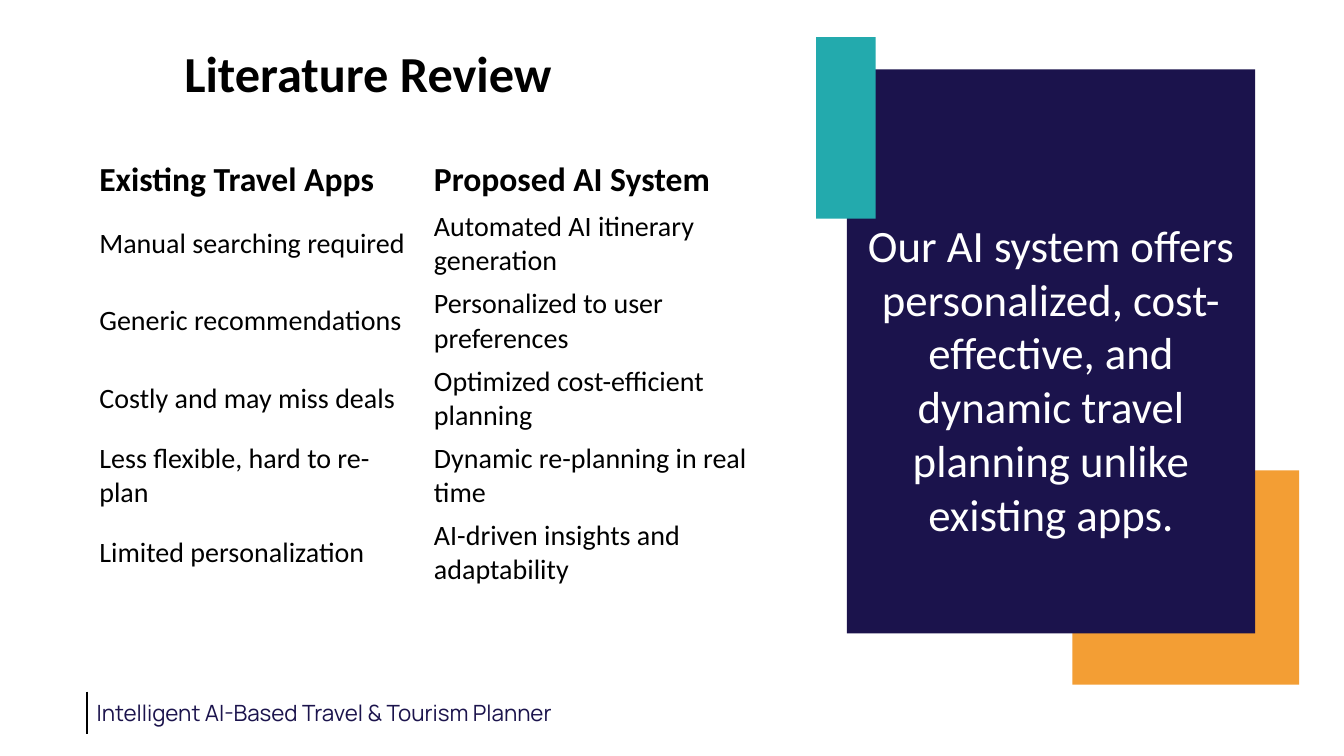
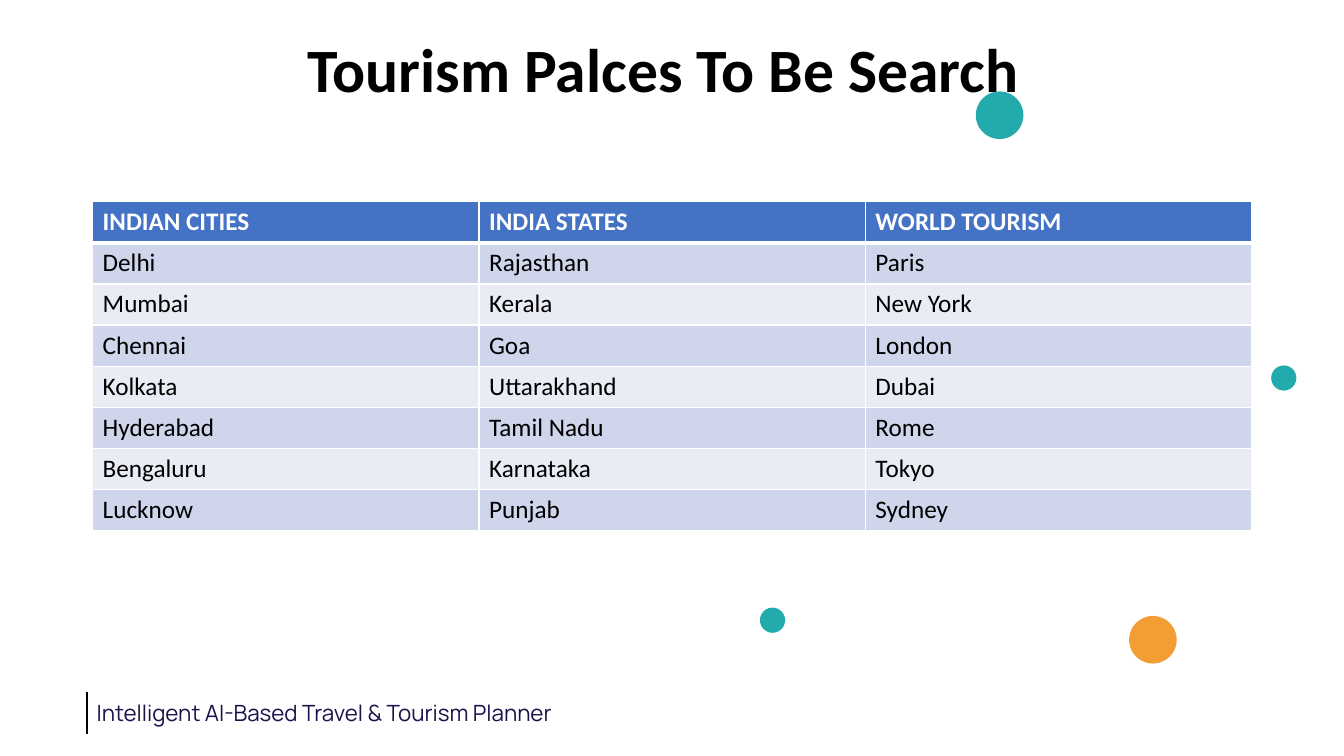
"""Build two slides of a travel planner presentation."""
from dataclasses import dataclass

from lxml import etree
from pptx import Presentation
from pptx.dml.color import RGBColor
from pptx.enum.shapes import MSO_CONNECTOR, MSO_SHAPE
from pptx.enum.text import MSO_ANCHOR, PP_ALIGN
from pptx.oxml.ns import qn
from pptx.presentation import Presentation as Deck
from pptx.shapes.autoshape import Shape
from pptx.slide import Slide
from pptx.table import Table, _Cell
from pptx.text.text import TextFrame
from pptx.util import Pt

RECTANGLE, CIRCLE = MSO_SHAPE.RECTANGLE, MSO_SHAPE.FLOWCHART_CONNECTOR
STRAIGHT = MSO_CONNECTOR.STRAIGHT
LEFT, CENTER = PP_ALIGN.LEFT, PP_ALIGN.CENTER
TOP, MIDDLE = MSO_ANCHOR.TOP, MSO_ANCHOR.MIDDLE

COLORS = {
    "navy": "1B134C",
    "teal": "23AAAD",
    "orange": "F39E34",
    "black": "000000",
    "white": "FFFFFF",
    "header": "4472C4",
    "odd_row": "CFD5EA",
    "even_row": "E9EBF5",
}
BODY_FONT, FOOTER_FONT = "Calibri", "Manrope"
FOOTER_TEXT = "Intelligent AI-Based Travel & Tourism Planner"
PANEL_TEXT = (
    "Our AI system offers personalized, cost-effective, "
    "and dynamic travel planning unlike existing apps."
)
COMPARISON = [
    ("Existing Travel Apps", "Proposed AI System"),
    ("Manual searching required", "Automated AI itinerary generation"),
    ("Generic recommendations", "Personalized to user preferences"),
    ("Costly and may miss deals", "Optimized cost-efficient planning"),
    ("Less flexible, hard to re-plan", "Dynamic re-planning in real time"),
    ("Limited personalization", "AI-driven insights and adaptability"),
]
PLACES = [
    ("INDIAN CITIES", "INDIA STATES", "WORLD TOURISM"),
    ("Delhi", "Rajasthan", "Paris"),
    ("Mumbai", "Kerala", "New York"),
    ("Chennai", "Goa", "London"),
    ("Kolkata", "Uttarakhand", "Dubai"),
    ("Hyderabad", "Tamil Nadu", "Rome"),
    ("Bengaluru", "Karnataka", "Tokyo"),
    ("Lucknow", "Punjab", "Sydney"),
]


@dataclass(frozen=True)
class Area:
    """Place and size of an object in points."""

    left: float
    top: float
    width: float
    height: float

    def lengths(self) -> tuple[Pt, Pt, Pt, Pt]:
        """Return the four lengths for python-pptx."""
        return Pt(self.left), Pt(self.top), Pt(self.width), Pt(self.height)


@dataclass(frozen=True)
class Block:
    """A plain filled shape."""

    area: Area
    color: str


ORANGE_BLOCK = Block(Area(766, 336, 162, 153), "orange")
NAVY_PANEL = Block(Area(605, 49.5, 291.5, 403), "navy")
TEAL_BLOCK = Block(Area(583, 26.6, 42.5, 129.6), "teal")
DOTS = [
    Block(Area(806.5, 440, 34, 34), "orange"),
    Block(Area(697, 65.3, 34, 34), "teal"),
    Block(Area(542.8, 434, 18, 18), "teal"),
    Block(Area(908, 261, 18, 18), "teal"),
]


def rgb(name: str) -> RGBColor:
    """Look up a named colour."""
    return RGBColor.from_string(COLORS[name])


def write_text(
    frame: TextFrame,
    text: str,
    *,
    size: float,
    color: str = "black",
    font: str = BODY_FONT,
    bold: bool = False,
    align: PP_ALIGN = LEFT,
    spacing: float = 1.0,
) -> None:
    """Put one formatted paragraph into a text frame."""
    para = frame.paragraphs[0]
    para.alignment = align
    para.line_spacing = spacing
    span = para.add_run()
    span.text = text
    span.font.size = Pt(size)
    span.font.name = font
    span.font.bold = bold
    span.font.color.rgb = rgb(color)


def add_text(
    page: Slide, area: Area, text: str, *, anchor: MSO_ANCHOR = TOP, **style
) -> None:
    """Add a wrapping text box."""
    frame = page.shapes.add_textbox(*area.lengths()).text_frame
    frame.word_wrap = True
    frame.vertical_anchor = anchor
    write_text(frame, text, **style)


def add_block(page: Slide, block: Block, kind: MSO_SHAPE) -> Shape:
    """Add a filled shape without outline or shadow."""
    shape = page.shapes.add_shape(kind, *block.area.lengths())
    shape.shadow.inherit = False
    shape.fill.solid()
    shape.fill.fore_color.rgb = rgb(block.color)
    shape.line.fill.background()
    return shape


def add_footer(page: Slide) -> None:
    """Add the footer text with its upright rule."""
    add_text(page, Area(62, 496, 380, 46), FOOTER_TEXT,
             size=16, color="navy", font=FOOTER_FONT)
    rule = page.shapes.add_connector(STRAIGHT, Pt(62), Pt(494), Pt(62), Pt(524))
    rule.line.color.rgb = rgb("black")
    rule.line.width = Pt(1.5)
    etree.SubElement(rule.element.spPr, qn("a:effectLst"))


def add_page(deck: Deck) -> Slide:
    """Add a blank slide with the shared footer."""
    page = deck.slides.add_slide(deck.slide_layouts[6])
    add_footer(page)
    return page


def add_grid(
    page: Slide, area: Area, rows: list, widths: list[float], heights: list[float]
) -> Table:
    """Add an unstyled table with the given column widths and row heights."""
    table = page.shapes.add_table(len(rows), len(widths), *area.lengths()).table
    table.first_row = table.horz_banding = False
    for column, width in zip(table.columns, widths):
        column.width = Pt(width)
    for row, height in zip(table.rows, heights):
        row.height = Pt(height)
    return table


def set_borders(cell: _Cell, *, top: float, bottom: float) -> None:
    """Draw white borders around a cell."""
    properties = cell._tc.get_or_add_tcPr()
    for side, width in (("L", 1), ("R", 1), ("T", top), ("B", bottom)):
        line = etree.SubElement(properties, qn(f"a:ln{side}"), w=str(Pt(width)))
        fill = etree.SubElement(line, qn("a:solidFill"))
        etree.SubElement(fill, qn("a:srgbClr"), val=COLORS["white"])


def build_review(deck: Deck) -> None:
    """Build the comparison slide."""
    page = add_page(deck)
    add_block(page, ORANGE_BLOCK, RECTANGLE)
    frame = add_block(page, NAVY_PANEL, RECTANGLE).text_frame
    frame.word_wrap = True
    frame.vertical_anchor = MIDDLE
    frame.margin_top = Pt(42.6)
    write_text(frame, PANEL_TEXT, size=32, color="white", align=CENTER)
    add_block(page, TEAL_BLOCK, RECTANGLE)
    add_text(page, Area(124.6, 26.6, 450, 51), "Literature Review",
             size=36, bold=True)
    heights = [35.8] + [55.2] * (len(COMPARISON) - 1)
    table = add_grid(page, Area(64, 111, 495.4, sum(heights)), COMPARISON,
                     [239, 256.4], heights)
    for index, row in enumerate(COMPARISON):
        for cell, text in zip(table.rows[index].cells, row):
            cell.fill.background()
            cell.vertical_anchor = MIDDLE
            cell.margin_left = cell.margin_right = Pt(7)
            cell.margin_top = cell.margin_bottom = Pt(3)
            write_text(cell.text_frame, text,
                       size=20 if index else 24, bold=index == 0)


def build_places(deck: Deck) -> None:
    """Build the slide that lists places."""
    page = add_page(deck)
    add_text(page, Area(60, 28.8, 828, 46), "Tourism Palces To Be Search",
             anchor=MIDDLE, size=44, bold=True, align=CENTER, spacing=0.9)
    heights = [29.4] * len(PLACES)
    table = add_grid(page, Area(66.2, 144, 828, sum(heights)), PLACES,
                     [276] * 3, heights)
    for index, row in enumerate(PLACES):
        band = "odd_row" if index % 2 else "even_row"
        for cell, text in zip(table.rows[index].cells, row):
            set_borders(cell, top=3 if index == 1 else 1,
                        bottom=1 if index else 3)
            cell.fill.solid()
            cell.fill.fore_color.rgb = rgb(band if index else "header")
            write_text(cell.text_frame, text, size=18, bold=index == 0,
                       color="black" if index else "white")
    for dot in DOTS:
        add_block(page, dot, CIRCLE)


def main() -> None:
    """Build and save the deck."""
    deck = Presentation()
    deck.slide_width, deck.slide_height = Pt(960), Pt(540)
    build_review(deck)
    build_places(deck)
    deck.save("out.pptx")


if __name__ == "__main__":
    main()
